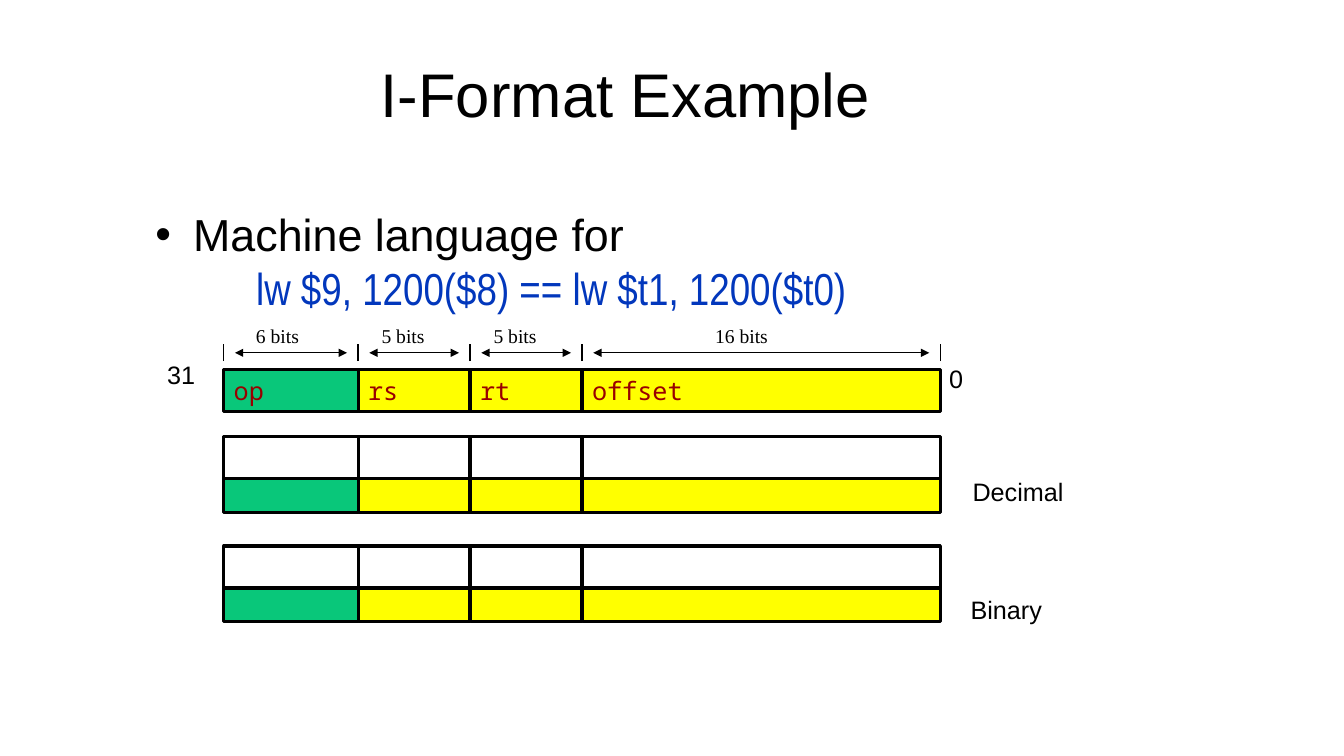
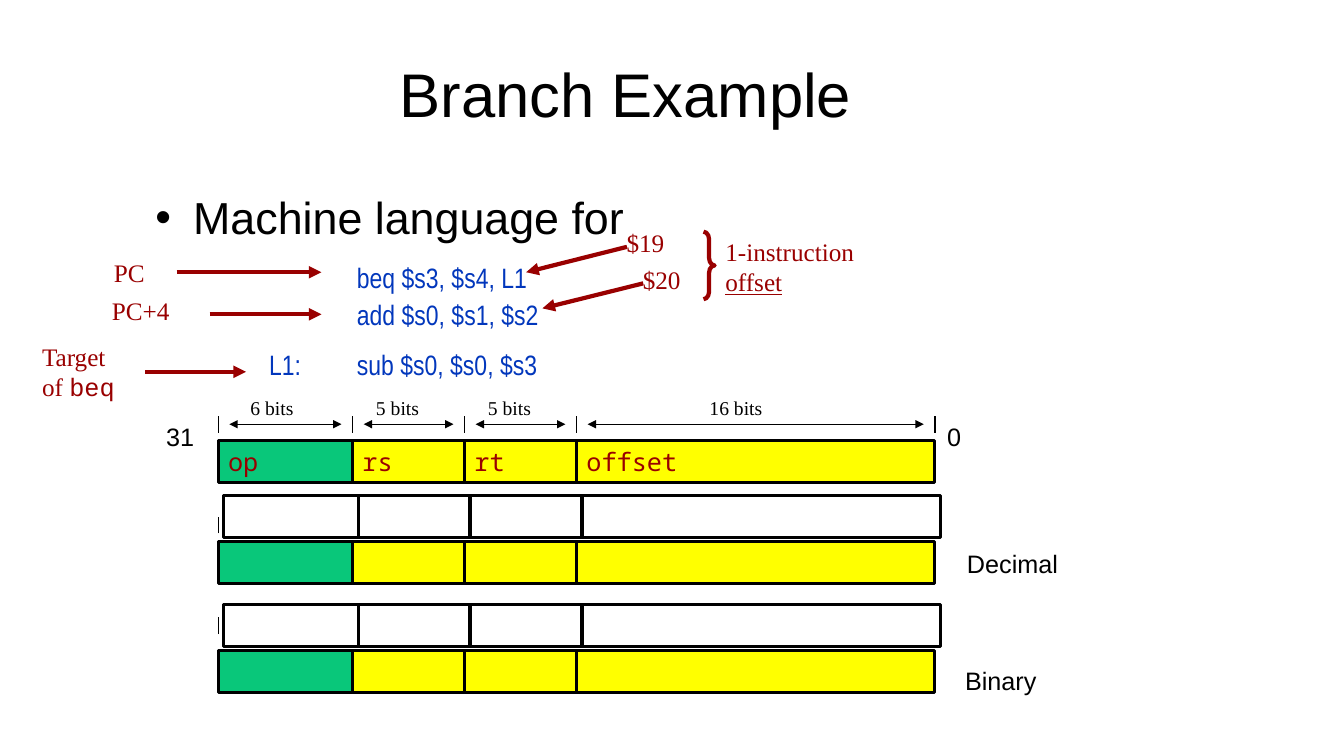
from lxml.etree import SubElement
from pptx import Presentation
from pptx.dml.color import RGBColor
from pptx.enum.shapes import MSO_CONNECTOR, MSO_SHAPE
from pptx.enum.text import MSO_ANCHOR, MSO_AUTO_SIZE, PP_ALIGN
from pptx.oxml.ns import qn
from pptx.util import Cm, Pt

BLACK, WHITE, DARK_RED, CODE_BLUE = "000000", "FFFFFF", "990000", "0237BC"
GREEN, YELLOW = "09C77A", "FFFF00"
SANS, NARROW, SERIF = "Arial", "Arial Narrow", "Times New Roman"
MONO, COURIER = "Noto Sans Mono", "Courier New"

FIELDS = [("op", 6, 0.56), ("rs", 5, 0.34), ("rt", 5, 0.34), ("offset", 16, 3.1)]
WORD_BITS = 32
WORD_WIDTH = 18.06
ROW_HEIGHT = 1.06
FIELD_FILLS = [GREEN, YELLOW, YELLOW, YELLOW]
EMPTY_FILLS = [WHITE] * 4


def color(value):
    return RGBColor.from_string(value)


def field_columns(left):
    columns = []
    for name, bits, label_offset in FIELDS:
        width = WORD_WIDTH * bits / WORD_BITS
        columns.append((left, width, name, bits, label_offset))
        left += width
    return columns


class Deck:
    def __init__(self):
        self.presentation = Presentation()
        self.presentation.slide_width = Cm(33.87)
        self.presentation.slide_height = Cm(19.05)
        self.slide = None

    def place(self, shape, left, top, width, height):
        shape.left, shape.top = Cm(left), Cm(top)
        shape.width, shape.height = Cm(width), Cm(height)
        shape.text_frame.auto_size = MSO_AUTO_SIZE.NONE

    def add_runs(self, paragraph, text, size=18, font=SANS, ink=BLACK, underline=None):
        for index, line in enumerate(text.split("\n")):
            if index:
                paragraph.add_line_break()
                line_break = paragraph._p.findall(qn("a:br"))[-1]
                SubElement(line_break, qn("a:rPr"), sz=str(size * 100))
            if line:
                run = paragraph.add_run()
                run.text = line
                run.font.size, run.font.name = Pt(size), font
                run.font.color.rgb = color(ink)
                run.font.underline = underline

    def add_slide(self, title):
        layout = self.presentation.slide_layouts[1]
        self.slide = self.presentation.slides.add_slide(layout)
        shape = self.slide.shapes.title
        self.place(shape, 1.7, 0.76, 28.14, 3.18)
        shape.text_frame.vertical_anchor = MSO_ANCHOR.MIDDLE
        paragraph = shape.text_frame.paragraphs[0]
        paragraph.alignment = PP_ALIGN.CENTER
        self.add_runs(paragraph, title, 44)

    def body(self, top, tab_stops, runs):
        shape = self.slide.placeholders[1]
        self.place(shape, 3.66, top, 26.52, 11.43)
        paragraph = shape.text_frame.paragraphs[0]
        tabs = SubElement(paragraph._p.get_or_add_pPr(), qn("a:tabLst"))
        for position in tab_stops:
            SubElement(tabs, qn("a:tab"), pos=str(Cm(position)), algn="l")
        paragraph.space_before = Pt(0)
        for text, size, font, ink in runs:
            self.add_runs(paragraph, text, size, font, ink)

    def text(self, left, top, width, *paragraphs, height=1.02, size=18,
             font=SANS, ink=BLACK, anchor=MSO_ANCHOR.TOP):
        shape = self.slide.shapes.add_textbox(Cm(left), Cm(top), Cm(width), Cm(height))
        frame = shape.text_frame
        frame.word_wrap = False
        frame.auto_size = MSO_AUTO_SIZE.SHAPE_TO_FIT_TEXT
        frame.vertical_anchor = anchor
        for index, runs in enumerate(paragraphs):
            paragraph = frame.add_paragraph() if index else frame.paragraphs[0]
            for text, changes in runs:
                style = {"size": size, "font": font, "ink": ink, **changes}
                self.add_runs(paragraph, text, **style)

    def note(self, left, top, width, *paragraphs, height=1.02):
        self.text(left, top, width, *paragraphs, height=height, font=SERIF,
                  ink=DARK_RED, anchor=MSO_ANCHOR.MIDDLE)

    def line(self, start, end, ink=BLACK, weight=1, heads=()):
        connector = self.slide.shapes.add_connector(
            MSO_CONNECTOR.STRAIGHT, Cm(start[0]), Cm(start[1]), Cm(end[0]), Cm(end[1]))
        connector.line.color.rgb = color(ink)
        connector.line.width = Pt(weight)
        properties = connector._element.spPr
        outline = properties.find(qn("a:ln"))
        for head in heads:
            SubElement(outline, qn("a:" + head), type="triangle")
        SubElement(properties, qn("a:effectLst"))

    def pointer(self, start, end):
        self.line(start, end, DARK_RED, 3, ["tailEnd"])

    def tick(self, left, row_top):
        self.line((left, row_top - 0.21), (left, row_top - 0.63))

    def brace(self, left, top, width, height):
        shape = self.slide.shapes.add_shape(
            MSO_SHAPE.RIGHT_BRACE, Cm(left), Cm(top), Cm(width), Cm(height))
        shape.shadow.inherit = False
        shape.fill.background()
        shape.line.color.rgb = color(DARK_RED)
        shape.line.width = Pt(3)
        shape.adjustments[0] = 0.67

    def row(self, left, top, fills, named=False):
        for (cell_left, width, name, _, _), fill in zip(field_columns(left), fills):
            shape = self.slide.shapes.add_shape(
                MSO_SHAPE.RECTANGLE, Cm(cell_left), Cm(top), Cm(width), Cm(ROW_HEIGHT))
            shape.shadow.inherit = False
            shape.fill.solid()
            shape.fill.fore_color.rgb = color(fill)
            shape.line.color.rgb = color(BLACK)
            shape.line.width = Pt(2.25)
            if named:
                frame = shape.text_frame
                frame.word_wrap = False
                frame.vertical_anchor = MSO_ANCHOR.MIDDLE
                frame.paragraphs[0].alignment = PP_ALIGN.LEFT
                self.add_runs(frame.paragraphs[0], name, 18, MONO, DARK_RED)

    def word_format(self, left, top, empty_left, empty_tops):
        self.row(left, top, FIELD_FILLS, named=True)
        for cell_left, width, _, bits, label_offset in field_columns(left):
            self.tick(cell_left, top)
            self.line((cell_left + 0.28, top - 0.42), (cell_left + width - 0.28, top - 0.42),
                      heads=["headEnd", "tailEnd"])
            self.text(cell_left + label_offset, top - 1.27, 1.6 if bits < 10 else 1.85,
                      [(f"{bits} bits", {})], height=0.86, size=14, font=SERIF)
        self.tick(left + WORD_WIDTH, top)
        if empty_left > left:
            for offset in (2.54, 5.08):
                self.tick(left, top + offset)
        for offset in (2.54, 5.29):
            self.row(left, top + offset, FIELD_FILLS)
        self.text(left + 18.62, top + 2.57, 2.82, [("Decimal", {})])
        self.text(left + 18.57, top + 5.54, 2.34, [("Binary", {})])
        for empty_top in empty_tops:
            self.row(empty_left, empty_top, EMPTY_FILLS)

    def bit_numbers(self, high, low):
        self.text(*high, 1.22, [("31", {})])
        self.text(*low, 0.86, [("0", {})])


def load_slide(deck):
    deck.add_slide("I-Format Example")
    deck.body(5.08, [2.54], [
        ("Machine language for\n\t", 32, SANS, BLACK),
        ("lw $9, 1200($8) == lw $t1, 1200($t0)", 32, NARROW, CODE_BLUE),
    ])
    deck.word_format(5.64, 9.31, 5.64, [11.01, 13.76])
    deck.bit_numbers((3.96, 8.94), (23.67, 9.02))


def branch_slide(deck):
    deck.add_slide("Branch Example")
    deck.body(4.65, [2.87, 5.08], [
        ("Machine language for\n\t\t", 32, SANS, BLACK),
        ("beq $s3, $s4, L1\n\t\tadd $s0, $s1, $s2\n", 20, NARROW, CODE_BLUE),
        ("\t", 32, SANS, BLACK),
        ("L1:\tsub $s0, $s0, $s3", 20, NARROW, CODE_BLUE),
    ])
    deck.word_format(5.5, 11.11, 5.64, [12.49, 15.24])
    for start, end in [
        ((15.8, 6.22), (13.26, 6.86)),
        ((16.21, 7.14), (13.67, 7.77)),
        ((4.45, 6.86), (8.1, 6.86)),
        ((5.28, 7.92), (8.1, 7.92)),
        ((3.66, 9.37), (6.2, 9.37)),
    ]:
        deck.pointer(start, end)
    for left, top, width, label in [
        (15.54, 5.61, 1.47, "$19"),
        (15.95, 6.53, 1.47, "$20"),
        (2.62, 6.35, 1.3, "PC"),
        (2.57, 7.32, 1.98, "PC+4"),
    ]:
        deck.note(left, top, width, [(label, {})])
    deck.note(0.81, 8.46, 2.36, [("Target", {})],
              [("of ", {}), ("beq", {"font": COURIER})], height=1.8)
    deck.brace(17.73, 5.84, 0.28, 1.7)
    deck.note(18.03, 5.82, 3.78, [("1-instruction", {})],
              [("offset", {"underline": True})], height=1.8)
    deck.bit_numbers((3.94, 10.49), (23.62, 10.49))


def main():
    deck = Deck()
    load_slide(deck)
    branch_slide(deck)
    deck.presentation.save("out.pptx")


if __name__ == "__main__":
    main()
